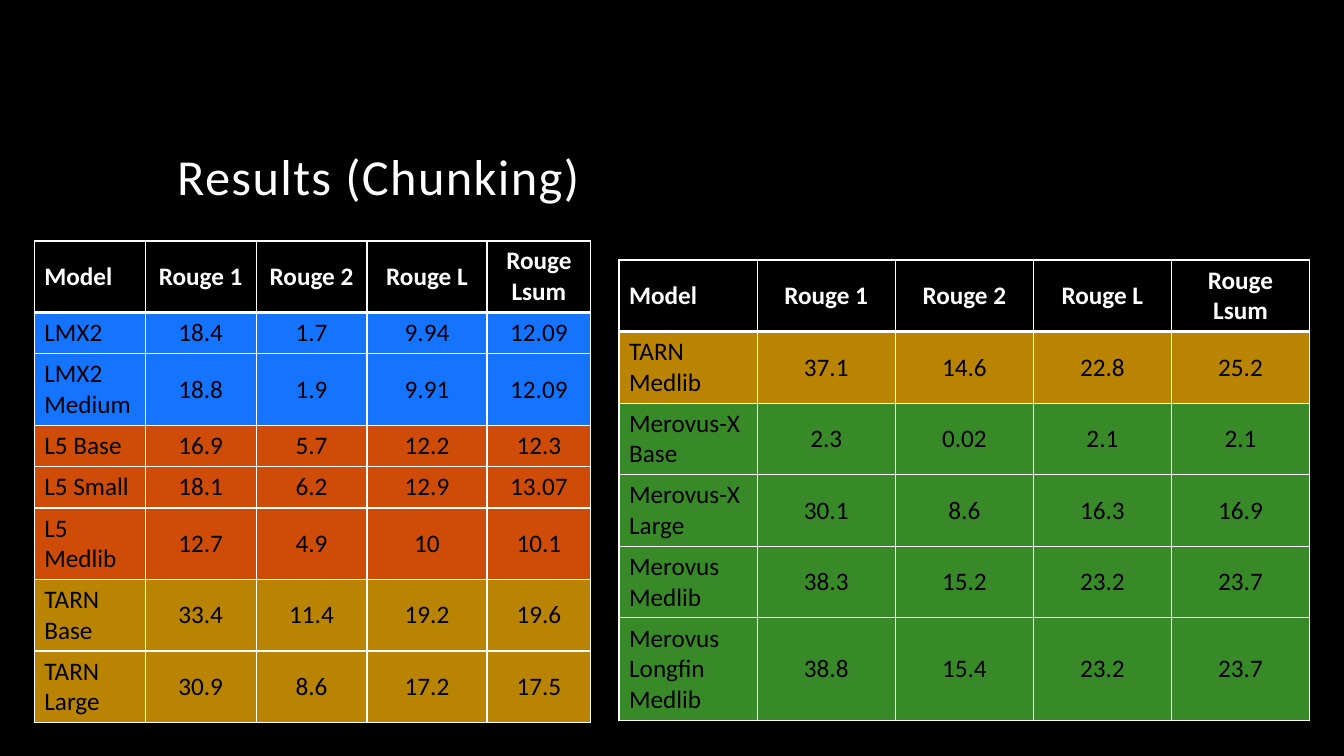
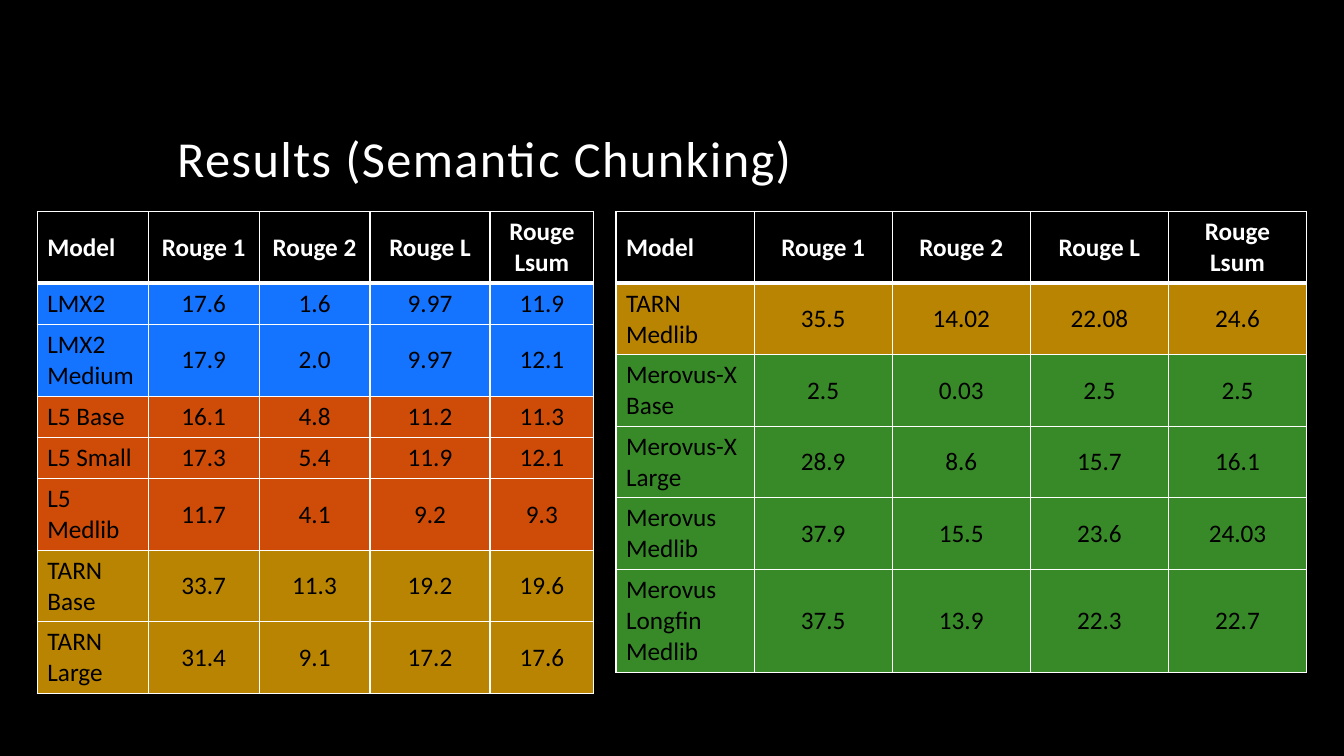
from dataclasses import dataclass
from lxml.etree import SubElement as Sub
from pptx import Presentation
from pptx.dml.color import RGBColor as RGB
from pptx.enum.text import MSO_ANCHOR as Anchor, PP_ALIGN as Align
from pptx.oxml.ns import qn
from pptx.slide import Slide
from pptx.table import _Cell as Cell
from pptx.text.text import _Run as Run
from pptx.util import Inches, Pt

HUES = {"black": "000000", "white": "FFFFFF", "blue": "1474FF",
        "rust": "CE4C07", "gold": "BA8403", "green": "388A29"}
TITLE = {"name": "Calibri", "size": Pt(36), "bold": False}
HEAD = {"name": "Calibri", "size": Pt(18), "bold": True}
BODY = HEAD | {"bold": False}
LABELS = ("Model", "Rouge 1", "Rouge 2", "Rouge L", "Rouge Lsum")
ONE, TWO, THREE = 0.41, 0.71, 1.02


@dataclass(frozen=True)
class Model:
    name: str
    hue: str
    high: float


@dataclass(frozen=True)
class Grid:
    models: tuple[Model, ...]
    widths: tuple[float, ...]


@dataclass(frozen=True)
class Block:
    grid: Grid
    left: float
    top: float
    scores: tuple[str, ...]


@dataclass(frozen=True)
class Page:
    title: str
    high: float
    blocks: tuple[Block, ...]


SMALL = Grid((
    Model("LMX2", "blue", ONE),
    Model("LMX2 Medium", "blue", TWO),
    Model("L5 Base", "rust", ONE),
    Model("L5 Small", "rust", ONE),
    Model("L5 Medlib", "rust", TWO),
    Model("TARN Base", "gold", TWO),
    Model("TARN Large", "gold", TWO),
), (1.1, 1.1, 1.1, 1.19, 1.03))

LARGE = Grid((
    Model("TARN Medlib", "gold", TWO),
    Model("Merovus-X Base", "green", TWO),
    Model("Merovus-X Large", "green", TWO),
    Model("Merovus Medlib", "green", TWO),
    Model("Merovus Longfin Medlib", "green", THREE),
), (1.37,) * 5)

PAGES = (
    Page("Results (Chunking)", 1.68, (
        Block(SMALL, 0.34, 2.39, (
            "18.4 1.7 9.94 12.09",
            "18.8 1.9 9.91 12.09",
            "16.9 5.7 12.2 12.3",
            "18.1 6.2 12.9 13.07",
            "12.7 4.9 10 10.1",
            "33.4 11.4 19.2 19.6",
            "30.9 8.6 17.2 17.5",
        )),
        Block(LARGE, 6.14, 2.58, (
            "37.1 14.6 22.8 25.2",
            "2.3 0.02 2.1 2.1",
            "30.1 8.6 16.3 16.9",
            "38.3 15.2 23.2 23.7",
            "38.8 15.4 23.2 23.7",
        )),
    )),
    Page("Results (Semantic Chunking)", 1.5, (
        Block(SMALL, 0.37, 2.1, (
            "17.6 1.6 9.97 11.9",
            "17.9 2.0 9.97 12.1",
            "16.1 4.8 11.2 11.3",
            "17.3 5.4 11.9 12.1",
            "11.7 4.1 9.2 9.3",
            "33.7 11.3 19.2 19.6",
            "31.4 9.1 17.2 17.6",
        )),
        Block(LARGE, 6.11, 2.1, (
            "35.5 14.02 22.08 24.6",
            "2.5 0.03 2.5 2.5",
            "28.9 8.6 15.7 16.1",
            "37.9 15.5 23.6 24.03",
            "37.5 13.9 22.3 22.7",
        )),
    )),
)


def tint(hue: str) -> RGB:
    """Return the named colour."""
    return RGB.from_string(HUES[hue])


def style(run: Run, form: dict, hue: str) -> None:
    """Apply font values and a colour to a run."""
    for key, val in form.items():
        setattr(run.font, key, val)
    run.font.color.rgb = tint(hue)


def edge(cell: Cell, row: int) -> None:
    """Draw white borders, with a thick rule under the header."""
    props = cell._tc.get_or_add_tcPr()
    wide = {"lnT": 3 if row == 1 else 1, "lnB": 3 if row == 0 else 1}
    for side in ("lnL", "lnR", "lnT", "lnB"):
        line = Sub(props, qn(f"a:{side}"), w=str(Pt(wide.get(side, 1))))
        fill = Sub(line, qn("a:solidFill"))
        Sub(fill, qn("a:srgbClr"), val=HUES["white"])


def fill_cell(cell: Cell, text: str, row: int, col: int, hue: str) -> None:
    """Write and colour one table cell."""
    edge(cell, row)
    cell.fill.solid()
    cell.fill.fore_color.rgb = tint(hue)
    cell.vertical_anchor = Anchor.MIDDLE
    para = cell.text_frame.paragraphs[0]
    para.alignment = Align.CENTER if col else Align.LEFT
    run = para.add_run()
    run.text = text
    style(run, BODY if row else HEAD, "black" if row else "white")


def add_block(slide: Slide, block: Block) -> None:
    """Draw a score table."""
    grid = block.grid
    highs = (TWO, *(m.high for m in grid.models))
    hues = ("black", *(m.hue for m in grid.models))
    rows = [LABELS]
    rows += [(m.name, *s.split()) for m, s in zip(grid.models, block.scores)]
    table = slide.shapes.add_table(
        len(rows), len(LABELS), Inches(block.left), Inches(block.top),
        Inches(sum(grid.widths)), Inches(sum(highs))).table
    table.horz_banding = False
    for col, width in zip(table.columns, grid.widths):
        col.width = Inches(width)
    for i, (texts, high, hue) in enumerate(zip(rows, highs, hues)):
        table.rows[i].height = Inches(high)
        for j, text in enumerate(texts):
            fill_cell(table.cell(i, j), text, i, j, hue)


def add_title(slide: Slide, page: Page) -> None:
    """Write the spaced title above the tables."""
    box = slide.shapes.add_textbox(
        Inches(1.66), Inches(0.42), Inches(10), Inches(page.high))
    frame = box.text_frame
    frame.word_wrap = True
    frame.vertical_anchor = Anchor.BOTTOM
    para = frame.paragraphs[0]
    para.line_spacing = 0.9
    run = para.add_run()
    run.text = page.title
    style(run, TITLE, "white")
    run._r.get_or_add_rPr().set("spc", "100")


def main() -> None:
    """Build and save the deck."""
    deck = Presentation()
    deck.slide_width, deck.slide_height = Inches(13.33), Inches(7.5)
    back = deck.slide_master.background.fill
    back.solid()
    back.fore_color.rgb = tint("black")
    for page in PAGES:
        slide = deck.slides.add_slide(deck.slide_layouts[6])
        add_title(slide, page)
        for block in page.blocks:
            add_block(slide, block)
    deck.save("out.pptx")


if __name__ == "__main__":
    main()
